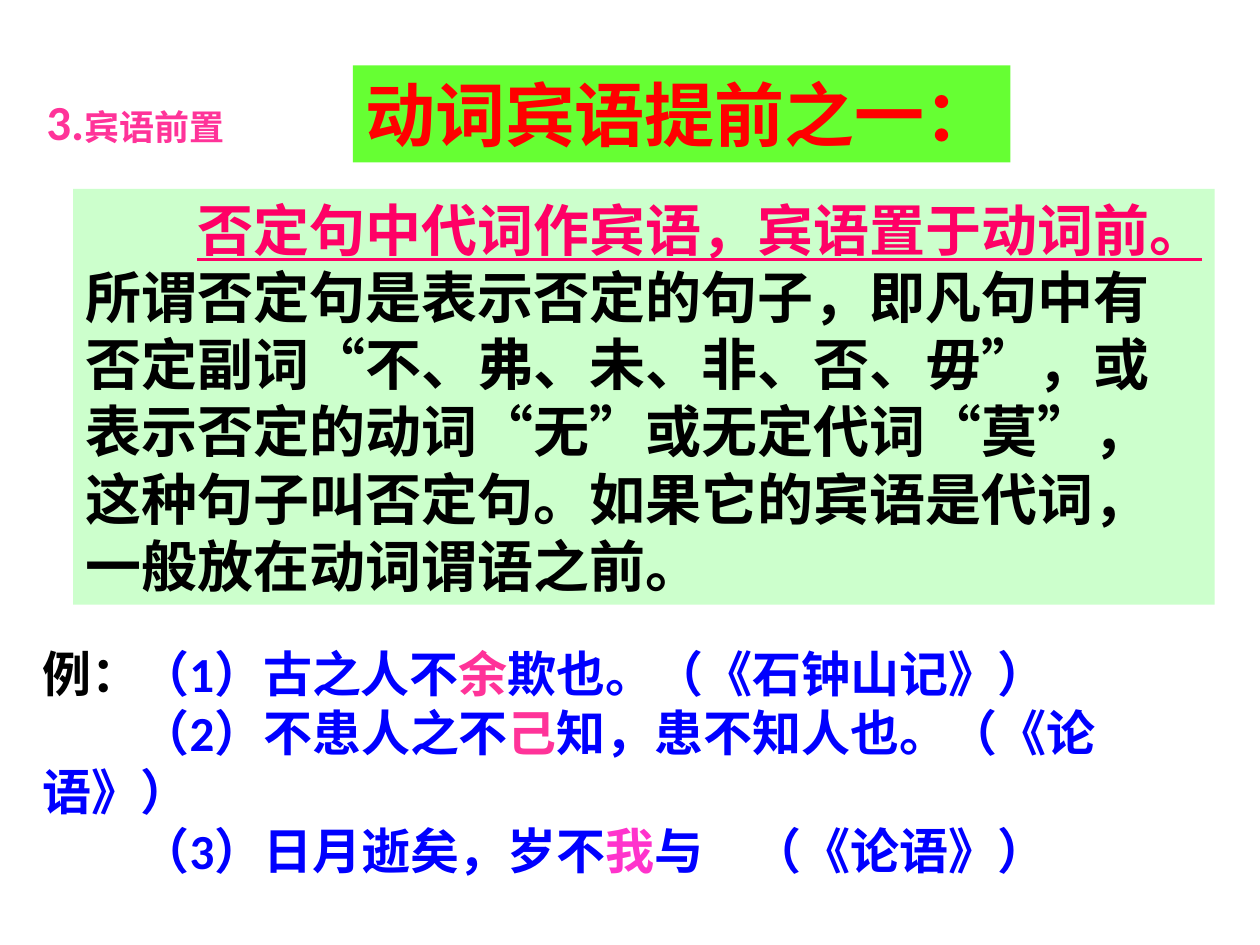
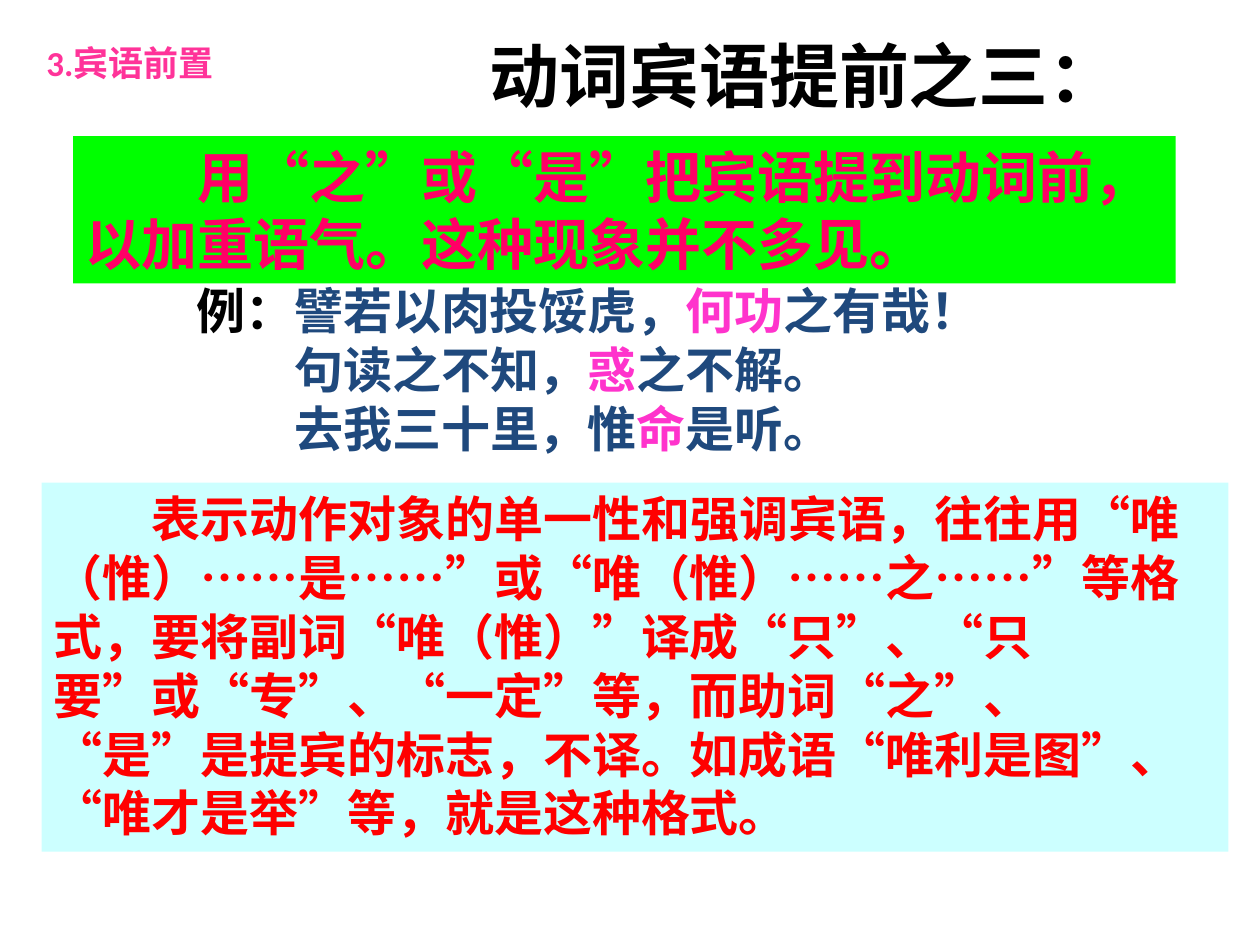
from itertools import groupby

from lxml import etree
from pptx import Presentation
from pptx.dml.color import RGBColor
from pptx.enum.shapes import MSO_SHAPE
from pptx.enum.text import MSO_ANCHOR, MSO_AUTO_SIZE, PP_ALIGN
from pptx.oxml.ns import qn
from pptx.util import Pt

RECTANGLE = MSO_SHAPE.RECTANGLE
TOP = MSO_ANCHOR.TOP
LEFT = PP_ALIGN.LEFT
GROW = MSO_AUTO_SIZE.SHAPE_TO_FIT_TEXT

COLORS = {
    "black": "000000", "red": "FF0000", "blue": "0000FF", "navy": "1F497D",
    "rose": "FF0066", "pink": "FF3399", "magenta": "FF33CC",
    "lime": "66FF33", "green": "00FF00", "mint": "CCFFCC", "ice": "CCFFFF",
}
SERIF, SANS, HAN = "Times New Roman", "Calibri", "Noto Sans CJK SC"
PUNCTUATION = "“”…"

# Text styles: size and font shared by every run of a part
STYLES = {
    "title": {"size": 40, "font": SERIF},
    "rule": {"size": 32, "font": SERIF},
    "note": {"size": 28, "font": SERIF, "punctuation_font": HAN},
    "section": {"size": 20, "font": SANS},
    "examples": {"size": 28, "font": SANS},
}

# Each part: style, box (left, top, width, height), optional fill and wrap, and
# paragraphs as (indent in characters, runs); a run is (text, colour, extra format)
SLIDES = [
    [
        {"style": "title", "box": (201.6, 37.44, 375.84, 55.44), "fill": "lime", "wrap": False,
         "paragraphs": [(0, [("动词宾语提前之一：", "red")])]},
        {"style": "rule", "box": (41.76, 108, 652.32, 237.6), "fill": "mint",
         "paragraphs": [(2, [
             ("否定句中代词作宾语，宾语置于动词前。", "rose", {"underline": True}),
             ("所谓否定句是表示否定的句子，即凡句中有否定副词“不、弗、未、非、否、毋”，"
              "或表示否定的动词“无”或无定代词“莫”，这种句子叫否定句。"
              "如果它的宾语是代词，一般放在动词谓语之前。", "black")])]},
        {"style": "section", "box": (19.44, 48.96, 141.84, 41.04),
         "paragraphs": [(0, [("3.", "pink", {"size": Pt(28)}), ("宾语前置", "pink")])]},
        {"style": "examples", "box": (17.28, 364.32, 689.04, 108.72),
         "paragraphs": [
             (0, [("例：", "black"), ("（1）古之人不", "blue"), ("余", "pink"),
                  ("欺也。（《石钟山记》）", "blue")]),
             (2, [("（2）不患人之不", "blue"), ("己", "pink"),
                  ("知，患不知人也。（《论语》）", "blue")]),
             (2, [("（3）日月逝矣，岁不", "blue"), ("我", "magenta"),
                  ("与　（《论语》）", "blue")])]},
    ],
    [
        {"style": "title", "box": (263.52, 15.12, 385.92, 55.44), "wrap": False,
         "paragraphs": [(0, [(" 动词宾语提前之三：", "black")])]},
        {"style": "rule", "box": (41.76, 77.76, 630, 84.24), "fill": "green",
         "paragraphs": [(2, [
             ("用“之”或“是”把宾语提到动词前，以加重语气。这种现象并不多见。", "rose")])]},
        {"style": "note", "box": (23.76, 275.76, 678.24, 210.96), "fill": "ice",
         "paragraphs": [(2, [
             ("表示动作对象的单一性和强调宾语，往往用“唯（惟）……是……”或“唯（惟）……之……”"
              "等格式，要将副词“唯（惟）”译成“只”、“只要”或“专”、“一定”等，"
              "而助词“之”、“是”是提宾的标志，不译。"
              "如成语“唯利是图”、“唯才是举”等，就是这种格式。", "red")])]},
        {"style": "section", "box": (19.44, 20.16, 126.72, 30.96),
         "paragraphs": [(0, [("3.宾语前置", "pink")])]},
        {"style": "examples", "box": (105.12, 156.96, 572.4, 108),
         "paragraphs": [
             (0, [("例：", "black"), ("譬若以肉投馁虎，", "navy"), ("何功", "magenta"),
                  ("之有哉！", "navy")]),
             (2, [("句读之不知，", "navy"), ("惑", "magenta"), ("之不解。", "navy")]),
             (2, [("去我三十里，惟", "navy"), ("命", "magenta"), ("是听。", "navy")])]},
    ],
]


def rgb(color):
    return RGBColor.from_string(COLORS[color])


def add_run(paragraph, text, font_name, style, color, extra):
    run = paragraph.add_run()
    run.text = text
    formats = {"size": Pt(style["size"]), "name": font_name, "bold": True, **extra}
    for attribute, value in formats.items():
        setattr(run.font, attribute, value)
    run.font.color.rgb = rgb(color)
    properties = run.font._element
    properties.set("lang", "zh-CN")
    etree.SubElement(properties, qn("a:ea")).set("typeface", HAN)


def add_text(paragraph, style, text, color, extra=None):
    """Add the text, giving quotes and ellipses their own font where the style has one."""
    punctuation_font = style.get("punctuation_font", style["font"])

    def font_of(character):
        return punctuation_font if character in PUNCTUATION else style["font"]

    for font_name, characters in groupby(text, font_of):
        add_run(paragraph, "".join(characters), font_name, style, color, extra or {})


def add_part(slide, part):
    box = [Pt(length) for length in part["box"]]
    if "fill" in part:
        shape = slide.shapes.add_shape(RECTANGLE, *box)
        shape.shadow.inherit = False
        shape.fill.solid()
        shape.fill.fore_color.rgb = rgb(part["fill"])
        shape.line.fill.background()
    else:
        shape = slide.shapes.add_textbox(*box)

    frame = shape.text_frame
    frame.word_wrap = part.get("wrap", True)
    frame.auto_size = GROW
    frame.vertical_anchor = TOP

    style = STYLES[part["style"]]
    for number, (indent, runs) in enumerate(part["paragraphs"]):
        paragraph = frame.add_paragraph() if number else frame.paragraphs[0]
        paragraph.alignment = LEFT
        if indent:
            paragraph._p.get_or_add_pPr().set("indent", str(Pt(indent * style["size"])))
        for run in runs:
            add_text(paragraph, style, *run)


def main():
    deck = Presentation()
    deck.slide_width, deck.slide_height = Pt(720), Pt(540)
    blank = deck.slide_layouts[6]
    for parts in SLIDES:
        slide = deck.slides.add_slide(blank)
        for part in parts:
            add_part(slide, part)
    deck.save("out.pptx")


if __name__ == "__main__":
    main()
